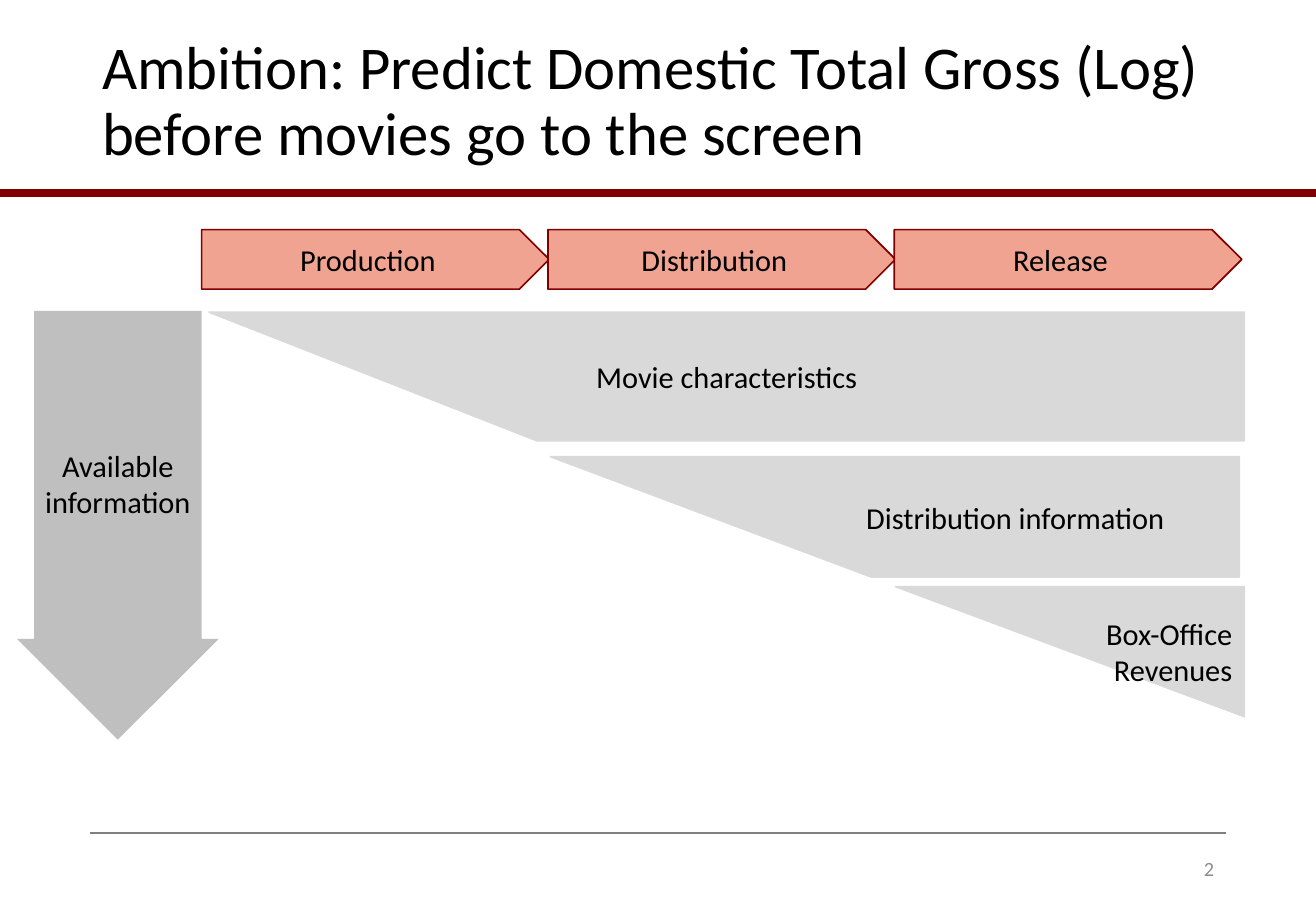
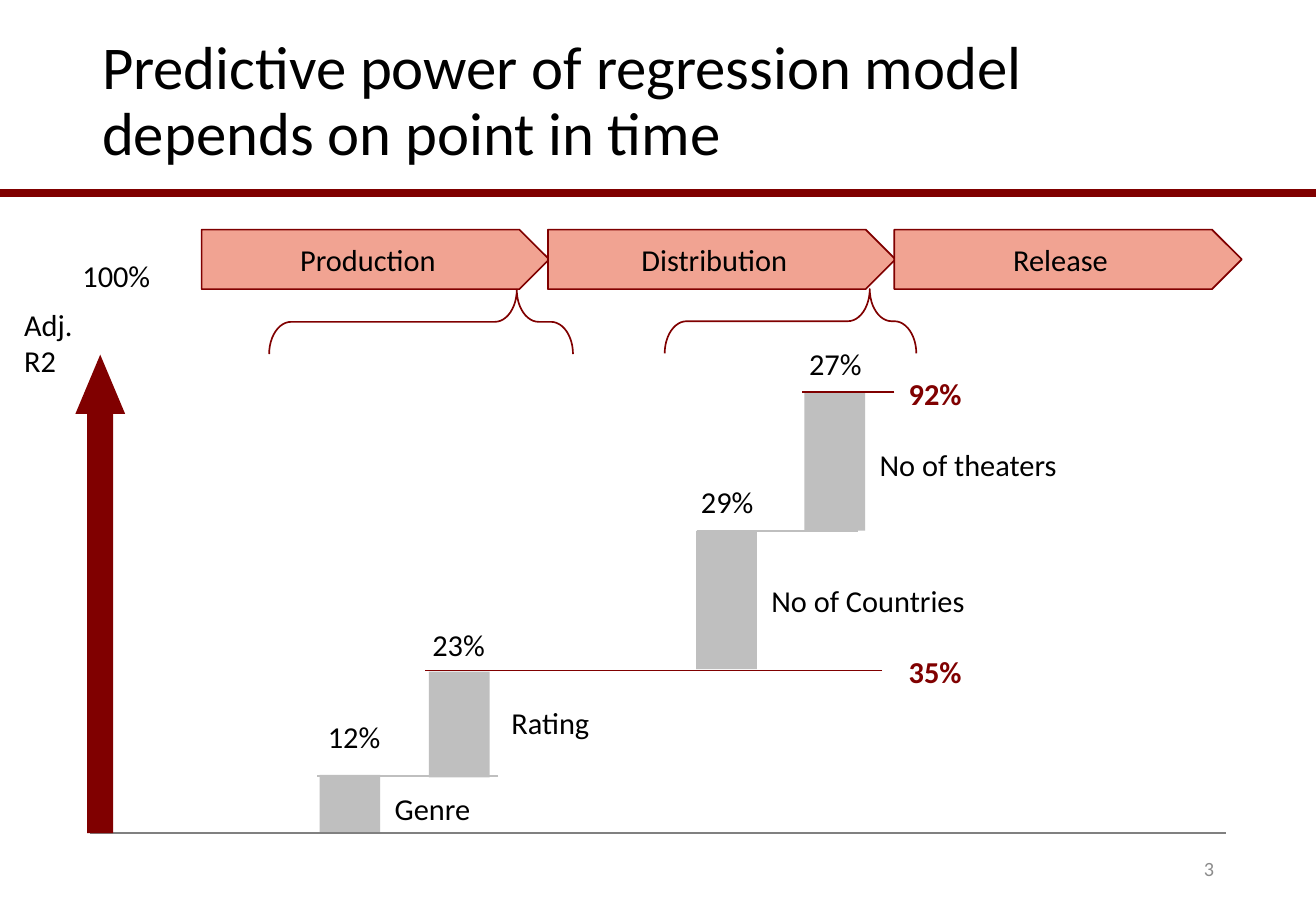
from dataclasses import dataclass
from lxml.etree import SubElement
from pptx import Presentation
from pptx.dml.color import RGBColor as Rgb
from pptx.enum.shapes import MSO_CONNECTOR as Link, MSO_SHAPE as Form
from pptx.enum.text import MSO_ANCHOR as Anchor, MSO_AUTO_SIZE as Fit, PP_ALIGN as Align
from pptx.oxml.ns import qn
from pptx.util import Pt

PX = 9144
WIDTH, HEIGHT = 1083, 750


@dataclass(frozen=True)
class Theme:
    font: str = "Calibri"
    black: str = "000000"
    accent: str = "800000"
    salmon: str = "F1A392"
    pale: str = "D9D9D9"
    grey: str = "BFBFBF"
    rule: str = "808080"
    number: str = "8C8C8C"
    title_size: int = 36
    body_size: int = 18
    number_size: int = 12
    line: float = 1
    band: float = 4.5


THEME = Theme()

TITLES = (
    "Ambition: Predict Domestic Total Gross (Log) before movies go to the screen",
    "Predictive power of regression model depends on point in time",
)
FIRST_NUMBER = 2
TITLE_BOX = (74, 24, 934, 121)
NUMBER_BOX = (765, 695, 244, 40)
SHARED_RULES = (
    ((74, 686), (1009, 686), THEME.rule, THEME.line),
    ((0, 159), (WIDTH, 159), THEME.accent, THEME.band),
)
PHASES = ("Production", "Distribution", "Release")
PHASE_BOX = (166, 189, 286, 49)
PHASE_STEP = 285

WEDGES = (
    ("Movie characteristics", Align.CENTER, 10,
     ((172, 257), (1024, 257), (1024, 363), (442, 363))),
    ("Box-Office\nRevenues", Align.RIGHT, 10,
     ((737, 483), (1024, 483), (1024, 590))),
    ("Distribution information", Align.CENTER, 208,
     ((453, 376), (1020, 376), (1020, 475), (717, 475))),
)
INFORMATION_ARROW = ("Available information", (14, 256, 166, 353), (0.83, 0.5))

SCALE_ARROW = ((62, 292, 41, 394), (0.522, 1.192))
BAR_WIDTH = 50
BARS = (
    ("Genre", "12%", (263, 638, 47), (315, 646), (260, 586)),
    ("Rating", "23%", (353, 553, 87), (411, 575), (346, 511)),
    ("No of Countries", "29%", (573, 437, 114), (625, 474), (567, 393)),
    ("No of theaters", "27%", (662, 323, 114), (714, 362), (656, 279)),
)
LABEL_WIDTHS = {"Genre": 83, "Rating": 85, "No of Countries": 181, "No of theaters": 169}
VALUE_WIDTH, LABEL_HEIGHT = 64, 40
TOTALS = (("35%", (738, 533)), ("92%", (738, 304)))
SCALE_LABELS = (("Adj.\nR2", (10, 247, 60, 71)), ("100%", (58, 207, 77, 40)))
STEP_RULES = (
    ((726, 552), (350, 552), THEME.accent, THEME.line),
    ((736, 323), (660, 323), THEME.accent, THEME.line),
    ((706, 437), (574, 437), THEME.grey, THEME.line),
    ((410, 639), (261, 639), THEME.grey, THEME.line),
)
BRACES = ((320, 140, 53, 250), (624, 161, 53, 207))
BRACE_BENDS = (0.341, 0.185)


def emu(lengths):
    return [length * PX for length in lengths]


def assign(target, formats):
    for name, value in formats.items():
        setattr(target, name, value)


def write(shape, text, size=THEME.body_size, color=THEME.black, align=Align.LEFT,
          bold=False, spacing=None, **frame_formats):
    frame = shape.text_frame
    frame.text = text
    assign(frame, {"word_wrap": True, "auto_size": Fit.NONE,
                   "vertical_anchor": Anchor.MIDDLE, **frame_formats})
    for para in frame.paragraphs:
        assign(para, {"alignment": align, "line_spacing": spacing})
        for span in para.runs:
            assign(span.font, {"name": THEME.font, "size": Pt(size), "bold": bold})
            span.font.color.rgb = Rgb.from_string(color)


def paint(shape, fill=None, line=None):
    shape.shadow.inherit = False
    for part, color in ((shape.fill, fill), (shape.line.fill, line)):
        if color:
            part.solid()
            part.fore_color.rgb = Rgb.from_string(color)
        else:
            part.background()
    if line:
        shape.line.width = Pt(THEME.line)


def add_form(shapes, form, box, fill=None, line=None, bends=()):
    shape = shapes.add_shape(form, *emu(box))
    paint(shape, fill, line)
    for index, bend in enumerate(bends):
        shape.adjustments[index] = bend
    return shape


def add_rule(page, start, end, color, width):
    rule = page.shapes.add_connector(Link.STRAIGHT, *emu(start + end))
    rule.line.color.rgb = Rgb.from_string(color)
    rule.line.width = Pt(width)
    SubElement(rule.element.spPr, qn("a:effectLst"))


def add_label(page, text, box, **formats):
    write(page.shapes.add_textbox(*emu(box)), text,
          **{"word_wrap": False, "vertical_anchor": Anchor.TOP, **formats})


def add_page(deck, number, title):
    page = deck.slides.add_slide(deck.slide_layouts[5])
    for rule in SHARED_RULES:
        add_rule(page, *rule)
    heading = page.shapes.title
    assign(heading, dict(zip(("left", "top", "width", "height"), emu(TITLE_BOX))))
    write(heading, title, size=THEME.title_size, spacing=0.9)
    add_label(page, str(number), NUMBER_BOX, size=THEME.number_size, color=THEME.number,
              align=Align.RIGHT, word_wrap=True, vertical_anchor=Anchor.MIDDLE)
    group = page.shapes.add_group_shape()
    left, *rest = PHASE_BOX
    for index, phase in enumerate(PHASES):
        box = (left + index * PHASE_STEP, *rest)
        shape = add_form(group.shapes, Form.PENTAGON, box, THEME.salmon, THEME.accent)
        write(shape, phase, align=Align.CENTER)
    return page


def draw_information(page):
    for text, align, inset, (start, *corners) in WEDGES:
        builder = page.shapes.build_freeform(*start, scale=PX)
        builder.add_line_segments(corners, close=True)
        wedge = builder.convert_to_shape()
        paint(wedge, THEME.pale, THEME.pale)
        write(wedge, text, align=align, margin_left=inset * PX)
    text, box, bends = INFORMATION_ARROW
    arrow = add_form(page.shapes, Form.DOWN_ARROW, box, THEME.grey, bends=bends)
    write(arrow, text, align=Align.CENTER, margin_left=0, margin_right=0,
          margin_top=0, margin_bottom=0)


def draw_waterfall(page):
    box, bends = SCALE_ARROW
    add_form(page.shapes, Form.UP_ARROW, box, THEME.accent, bends=bends)
    for text, box in SCALE_LABELS:
        add_label(page, text, box)
    for name, value, (left, top, height), name_at, value_at in BARS:
        add_form(page.shapes, Form.RECTANGLE, (left, top, BAR_WIDTH, height), THEME.grey)
        add_label(page, name, (*name_at, LABEL_WIDTHS[name], LABEL_HEIGHT))
        add_label(page, value, (*value_at, VALUE_WIDTH, LABEL_HEIGHT))
    for text, place in TOTALS:
        add_label(page, text, (*place, VALUE_WIDTH, LABEL_HEIGHT),
                  color=THEME.accent, bold=True)
    for rule in STEP_RULES:
        add_rule(page, *rule)
    for box in BRACES:
        brace = add_form(page.shapes, Form.LEFT_BRACE, box, line=THEME.accent,
                         bends=BRACE_BENDS)
        brace.rotation = 90


def main():
    deck = Presentation()
    assign(deck, {"slide_width": WIDTH * PX, "slide_height": HEIGHT * PX})
    drawings = (draw_information, draw_waterfall)
    for number, (title, draw) in enumerate(zip(TITLES, drawings), FIRST_NUMBER):
        draw(add_page(deck, number, title))
    deck.save("out.pptx")


if __name__ == "__main__":
    main()
